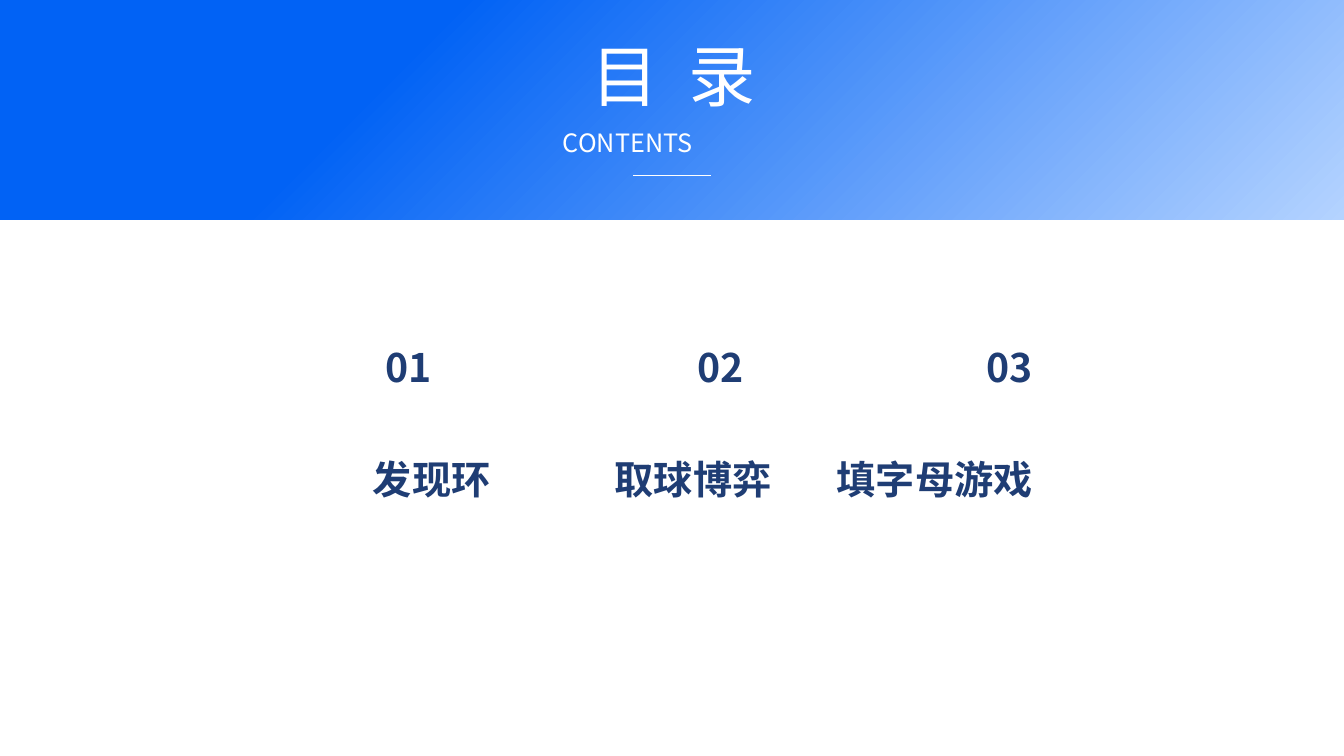
from lxml.etree import SubElement
from pptx import Presentation
from pptx.dml.color import RGBColor
from pptx.enum.shapes import MSO_CONNECTOR, MSO_SHAPE
from pptx.enum.text import MSO_ANCHOR, PP_ALIGN
from pptx.oxml.ns import qn
from pptx.util import Inches, Pt

WIDE, HIGH = 26.67, 15
FONT = "Noto Sans CJK SC"
WHITE = RGBColor(0xFF, 0xFF, 0xFF)
NAVY = RGBColor(0x1F, 0x3D, 0x74)
BLUE = RGBColor(0x01, 0x62, 0xF5)
PALE = RGBColor(0xB4, 0xD3, 0xFF)
ITEMS = [("01", "发现环", 0.06, 0.05), ("02", "取球博弈", 0.45, 0.45),
         ("03", "填字母游戏", 0.81, 0.82)]


def inner(box, left, top, wide, high):
    """Return the part of a box given by shares of its width and height."""
    x, y, w, h = box
    return x + left * w, y + top * h, wide * w, high * h


def write(slide, words, box, size=56, color=NAVY, bold=False,
          align=PP_ALIGN.CENTER, shape=None):
    """Set formatted text in a placeholder or a new text box."""
    spots = [Inches(n) for n in box]
    if shape is None:
        shape = slide.shapes.add_textbox(*spots)
    shape.left, shape.top, shape.width, shape.height = spots
    frame = shape.text_frame
    frame.word_wrap = True
    frame.vertical_anchor = MSO_ANCHOR.MIDDLE
    frame.margin_left = frame.margin_right = Inches(0.05)
    frame.margin_top = frame.margin_bottom = 0
    line = frame.paragraphs[0]
    line.alignment = align
    line.line_spacing = 1.0
    run = line.add_run()
    run.text = words
    font = run.font
    font.name, font.size, font.bold = FONT, Pt(size), bold
    font.color.rgb = color
    SubElement(font._element, qn("a:ea"), typeface=FONT)
    return shape


def banner(slide, box):
    """Draw the gradient band with its title, subtitle and rule."""
    band = slide.shapes.add_shape(MSO_SHAPE.ROUNDED_RECTANGLE,
                                  *[Inches(n) for n in box])
    band.adjustments[0] = 0
    band.shadow.inherit = False
    band.line.fill.background()
    band.fill.gradient()
    band.fill.gradient_angle = 315
    stops = zip(band.fill.gradient_stops, (0.3, 1), (BLUE, PALE))
    for stop, place, color in stops:
        stop.position, stop.color.rgb = place, color

    title = slide.shapes.title
    slide.shapes.element.append(title.element)
    write(slide, "目  录", inner(box, 0.384, 0.187, 0.234, 0.375),
          size=96, color=WHITE, shape=title)
    write(slide, "CONTENTS", inner(box, 0.417, 0.59, 0.166, 0.155),
          size=36, color=WHITE, align=PP_ALIGN.JUSTIFY)

    x, y, w, _ = inner(box, 0.471, 0.81, 0.058, 0)
    rule = slide.shapes.add_connector(
        MSO_CONNECTOR.STRAIGHT, *[Inches(n) for n in (x, y, x + w, y)])
    rule.line.color.rgb, rule.line.width = WHITE, Pt(1.75)
    SubElement(rule._element.spPr, qn("a:effectLst"))


def agenda(slide, box):
    """Place each number above its topic."""
    x, y, w, h = box
    mark, label, tall = 1.71, 4.64, 1.04
    for number, topic, near, far in ITEMS:
        write(slide, number, (x + near * (w - mark) + 0.7, y, mark, tall),
              bold=True)
        write(slide, topic, (x + far * (w - label), y + h - tall, label, tall),
              bold=True)


def main():
    """Build and save the contents slide."""
    deck = Presentation()
    deck.slide_width, deck.slide_height = Inches(WIDE), Inches(HIGH)
    slide = deck.slides.add_slide(deck.slide_layouts[5])
    banner(slide, (0, -0.23, WIDE, 4.59))
    agenda(slide, (0.21 * WIDE, 0.451 * HIGH, 0.66 * WIDE, 0.217 * HIGH))
    deck.save("out.pptx")


main()
